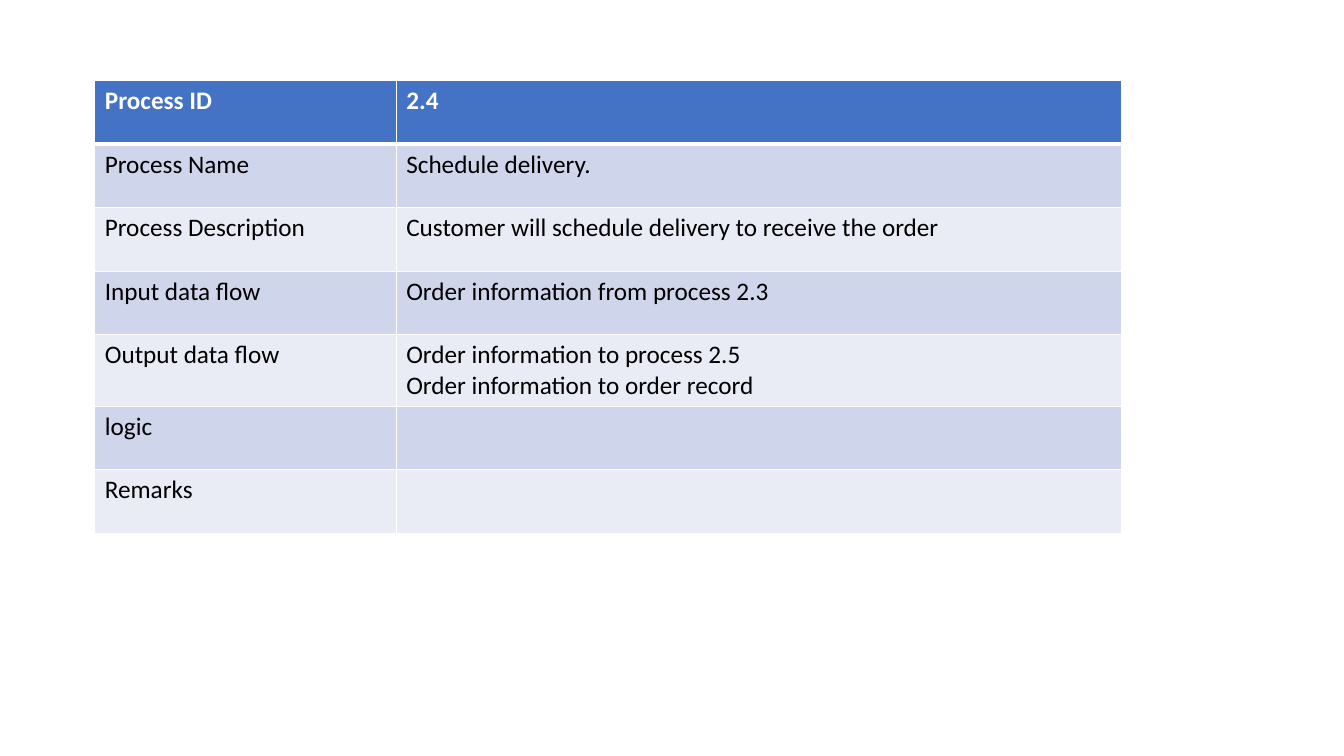
from lxml.etree import SubElement
from pptx import Presentation
from pptx.dml.color import RGBColor
from pptx.oxml.ns import qn
from pptx.util import Inches, Pt

WHITE = RGBColor(0xFF, 0xFF, 0xFF)
BLACK = RGBColor(0x00, 0x00, 0x00)
HEADER_BLUE = RGBColor(0x44, 0x72, 0xC4)
BAND_DARK = RGBColor(0xCF, 0xD5, 0xEA)
BAND_LIGHT = RGBColor(0xE9, 0xEB, 0xF5)

FONT = "Calibri"
COL_WIDTHS = (2.99, 7.19)
ROW_HEIGHT = 0.63
PROCESS_ROWS = [
    ("Process ID", ["2.4"]),
    ("Process Name", ["Schedule delivery."]),
    ("Process Description", ["Customer will schedule delivery to receive the order"]),
    ("Input data flow", ["Order information from process 2.3"]),
    ("Output data flow", ["Order information to process 2.5", "Order information to order record"]),
    ("logic", []),
    ("Remarks", []),
]


def set_borders(cell, top, bottom):
    """Draw white borders around a cell, with the top and bottom widths in points."""
    tc_pr = cell._tc.get_or_add_tcPr()
    for side, width in (("L", 1), ("R", 1), ("T", top), ("B", bottom)):
        ln = SubElement(tc_pr, qn(f"a:ln{side}"), w=str(Pt(width)))
        fill = SubElement(ln, qn("a:solidFill"))
        SubElement(fill, qn("a:srgbClr"), val=str(WHITE))


def fill_cell(cell, lines, row):
    """Style one cell for its row and write its lines as paragraphs."""
    header = row == 0
    set_borders(cell, 3 if row == 1 else 1, 3 if header else 1)
    cell.fill.solid()
    band = BAND_DARK if row % 2 else BAND_LIGHT
    cell.fill.fore_color.rgb = HEADER_BLUE if header else band
    tf = cell.text_frame
    for i, line in enumerate(lines):
        p = tf.add_paragraph() if i else tf.paragraphs[0]
        r = p.add_run()
        r.text = line
        r.font.name = FONT
        r.font.size = Pt(18)
        r.font.bold = header
        r.font.color.rgb = WHITE if header else BLACK


def add_process_table(slide, left, top):
    """Add the process description table with its top left corner at the given point."""
    count = len(PROCESS_ROWS)
    table = slide.shapes.add_table(
        count, len(COL_WIDTHS), Inches(left), Inches(top),
        Inches(sum(COL_WIDTHS)), Inches(ROW_HEIGHT * count)).table
    for column, width in zip(table.columns, COL_WIDTHS):
        column.width = Inches(width)
    for row, (label, lines) in enumerate(PROCESS_ROWS):
        table.rows[row].height = Inches(ROW_HEIGHT)
        fill_cell(table.cell(row, 0), [label], row)
        fill_cell(table.cell(row, 1), lines, row)


def main():
    """Build the slide and save it."""
    prs = Presentation()
    prs.slide_width, prs.slide_height = Inches(13.33), Inches(7.5)
    slide = prs.slides.add_slide(prs.slide_layouts[6])
    add_process_table(slide, 0.94, 0.8)
    prs.save("out.pptx")


if __name__ == "__main__":
    main()
